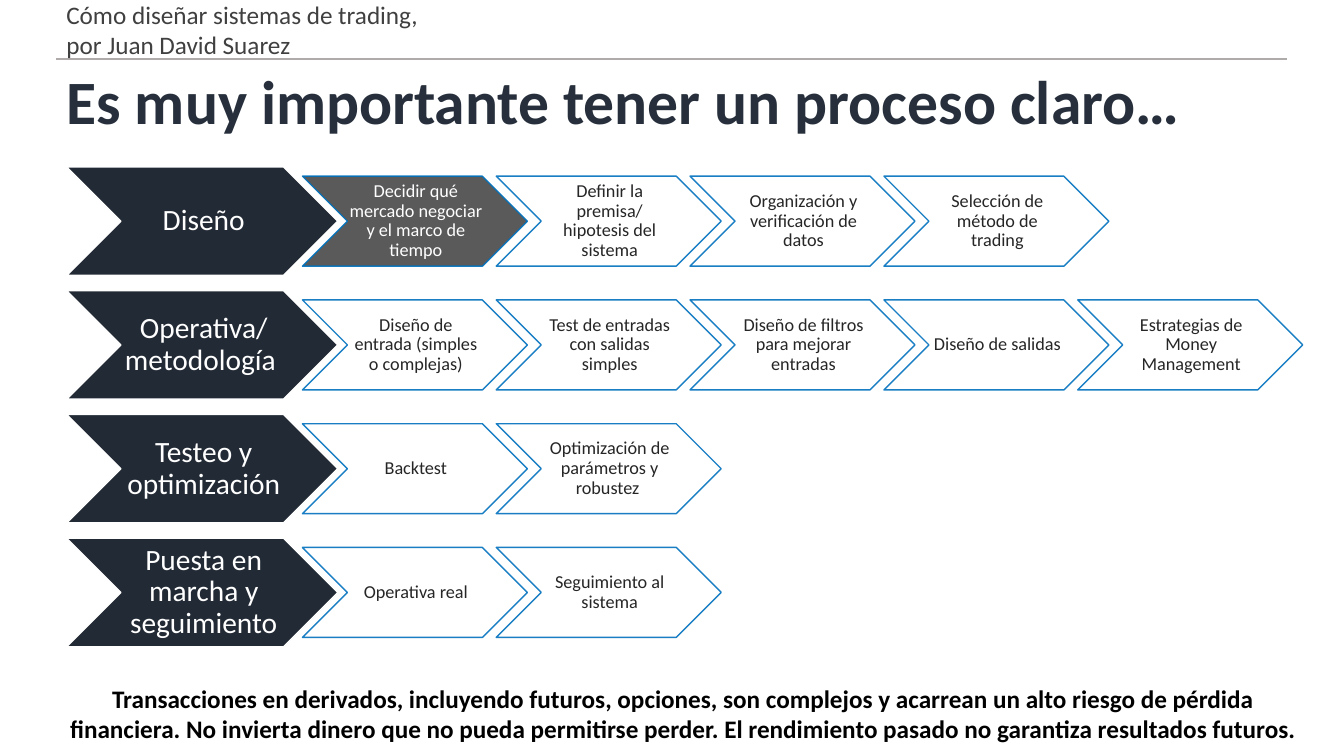
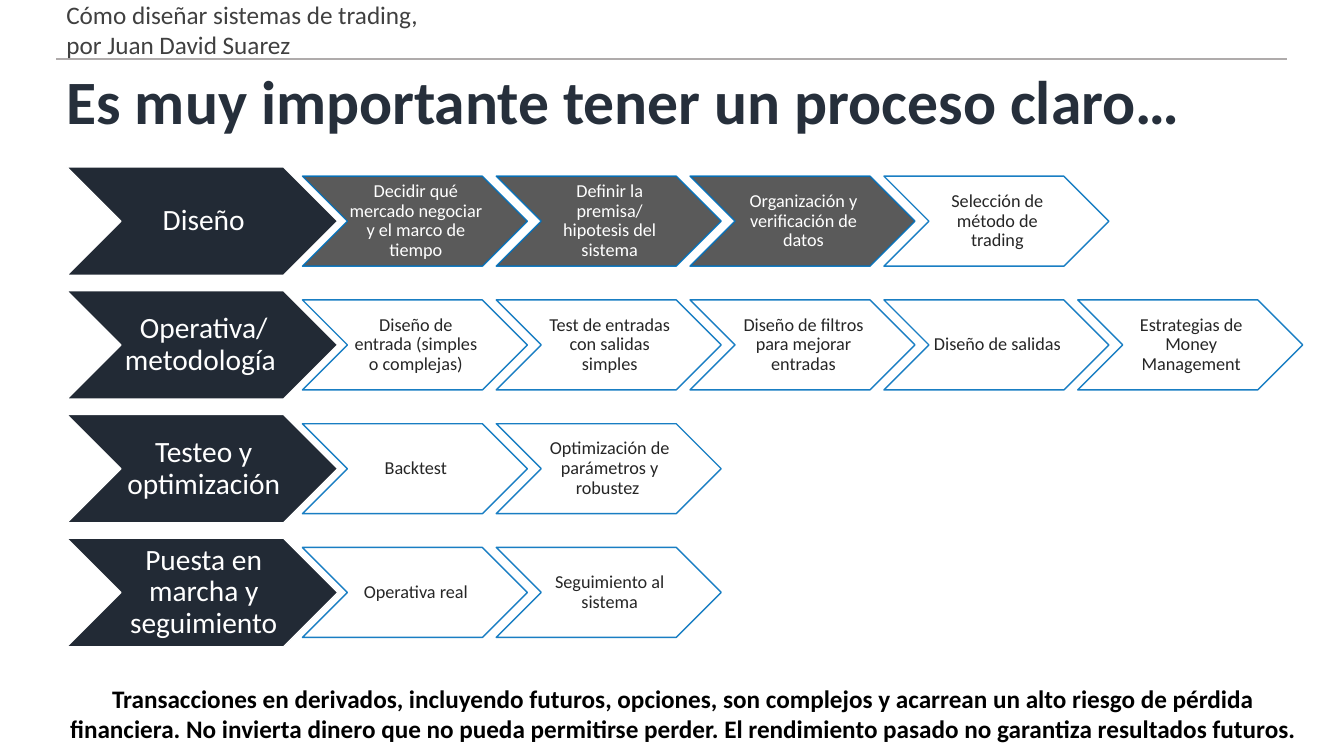
from dataclasses import dataclass
from typing import Any

import lxml.etree
import pptx
import pptx.dml.color
import pptx.enum.shapes
import pptx.enum.text
import pptx.oxml
import pptx.oxml.ns
import pptx.util

Pt = pptx.util.Pt
ALIGN = pptx.enum.text.PP_ALIGN
MIDDLE = pptx.enum.text.MSO_ANCHOR.MIDDLE

# Shared palette and text formats
NAVY, GREY, BLUE, WHITE = "222A35", "5A5A5A", "0071BD", "FFFFFF"
TITLE_FORMAT = {"name": "Calibri", "size": Pt(44), "bold": True}
HEADER_FORMAT = {"name": "Calibri", "size": Pt(18), "bold": False}
DISCLAIMER_FORMAT = {"name": "Calibri", "size": Pt(18), "bold": True}
PHASE_FORMAT = {"name": "Calibri", "size": Pt(21), "bold": False}
STEP_FORMAT = {"name": "Calibri", "size": Pt(13), "bold": False}

TITLE = "Es muy importante tener un proceso claro…"
HEADER = "Cómo diseñar sistemas de trading, por Juan David Suarez"
DISCLAIMER = (
    "Transacciones en derivados, incluyendo futuros, opciones, son complejos y "
    "acarrean un alto riesgo de pérdida financiera. No invierta dinero que no pueda "
    "permitirse perder. El rendimiento pasado no garantiza resultados futuros."
)

# Process grid, in points
MARGIN = 40.3
FIRST_ROW_CENTRE, ROW_PITCH = 158.0, 88.4
STEP_LEFT, STEP_PITCH = 216.0, 138.45


@dataclass(frozen=True)
class Phase:
    name: str
    steps: tuple[str, ...]


@dataclass(frozen=True)
class ChevronStyle:
    width: float
    height: float
    fill: str | None
    line: str
    line_alpha: int
    text_color: str
    text_format: dict[str, Any]
    left_inset: float


PHASE_STYLE = ChevronStyle(193.7, 77.5, NAVY, WHITE, 100, WHITE, PHASE_FORMAT, 2.1)
PENDING_STYLE = ChevronStyle(160.7, 64.3, None, BLUE, 90, "262626", STEP_FORMAT, 1.3)
COVERED_STYLE = ChevronStyle(160.7, 64.3, GREY, BLUE, 90, WHITE, STEP_FORMAT, 1.3)

PHASES = (
    Phase("Diseño", (
        "Decidir qué mercado negociar y el marco de tiempo",
        "Definir la premisa/ hipotesis del sistema",
        "Organización y verificación de datos",
        "Selección de método de trading",
    )),
    Phase("Operativa/ metodología ", (
        "Diseño de entrada (simples o complejas)",
        "Test de entradas con salidas simples",
        "Diseño de filtros para mejorar entradas",
        "Diseño de salidas",
        "Estrategias de Money Management",
    )),
    Phase("Testeo y optimización", (
        "Backtest",
        "Optimización de parámetros y robustez ",
    )),
    Phase("Puesta en marcha y seguimiento", (
        "Operativa real",
        "Seguimiento al sistema",
    )),
)

# Design steps already covered on each slide
COVERED_STEPS = (1, 3)


def rgb(code: str) -> pptx.dml.color.RGBColor:
    return pptx.dml.color.RGBColor.from_string(code)


def write(shape: Any, text: str, text_format: dict[str, Any], color: str,
          align: Any, line_spacing: float = 1.0) -> None:
    """Fill a shape with one formatted, vertically centred paragraph."""
    frame = shape.text_frame
    frame.word_wrap = True
    frame.auto_size = pptx.enum.text.MSO_AUTO_SIZE.NONE
    frame.vertical_anchor = MIDDLE
    frame.text = text
    paragraph = frame.paragraphs[0]
    paragraph.alignment = align
    paragraph.line_spacing = line_spacing
    font = paragraph.runs[0].font
    for attribute, value in text_format.items():
        setattr(font, attribute, value)
    font.color.rgb = rgb(color)


def add_chevron(slide: Any, left: float, centre: float, text: str,
                style: ChevronStyle) -> None:
    chevron = slide.shapes.add_shape(
        pptx.enum.shapes.MSO_SHAPE.CHEVRON, Pt(left), Pt(centre - style.height / 2),
        Pt(style.width), Pt(style.height))
    chevron.shadow.inherit = False
    if style.fill:
        chevron.fill.solid()
        chevron.fill.fore_color.rgb = rgb(style.fill)
    else:
        chevron.fill.background()
    chevron.line.width = Pt(1)
    chevron.line.color.rgb = rgb(style.line)
    if style.line_alpha < 100:
        line_color = chevron.element.spPr.find(
            "/".join(map(pptx.oxml.ns.qn, ("a:ln", "a:solidFill", "a:srgbClr"))))
        lxml.etree.SubElement(line_color, pptx.oxml.ns.qn("a:alpha"),
                              val=str(style.line_alpha * 1000))
    insets = {"margin_left": style.left_inset, "margin_right": 0,
              "margin_top": 0.7, "margin_bottom": 0.7}
    for attribute, value in insets.items():
        setattr(chevron.text_frame, attribute, Pt(value))
    write(chevron, text, style.text_format, style.text_color, ALIGN.CENTER, 0.9)


def build_layout(layout: Any, slide: Any) -> None:
    """Give the layout its title area, header, rule and disclaimer."""
    for placeholder in list(layout.placeholders):
        if placeholder.placeholder_format.idx != 0:
            placeholder.element.getparent().remove(placeholder.element)
    title_area = {"left": MARGIN, "top": 46, "width": 878.4, "height": 57}
    for attribute, value in title_area.items():
        setattr(layout.placeholders[0], attribute, Pt(value))

    # Header rule
    rule = slide.shapes.add_connector(
        pptx.enum.shapes.MSO_CONNECTOR.STRAIGHT,
        Pt(MARGIN), Pt(42.3), Pt(919.4), Pt(42.3))
    rule.line.width = Pt(1.5)
    rule.line.color.rgb = rgb("AFABAB")
    lxml.etree.SubElement(rule.element.spPr, pptx.oxml.ns.qn("a:effectLst"))

    # Header and disclaimer
    header = slide.shapes.add_textbox(Pt(MARGIN), Pt(8.6), Pt(283), Pt(24.5))
    write(header, HEADER, HEADER_FORMAT, "404040", ALIGN.LEFT)
    disclaimer = slide.shapes.add_textbox(Pt(MARGIN), Pt(486.7), Pt(895.7), Pt(45.4))
    write(disclaimer, DISCLAIMER, DISCLAIMER_FORMAT, "000000", ALIGN.CENTER)

    # Layout parts are drawn through a slide, then handed to the layout
    for part in (rule, header, disclaimer):
        layout.shapes.element.append(part.element)


def add_process(slide: Any, covered: int) -> None:
    write(slide.shapes.title, TITLE, TITLE_FORMAT, "262F3B", ALIGN.LEFT, 0.9)
    for row, phase in enumerate(PHASES):
        centre = FIRST_ROW_CENTRE + row * ROW_PITCH
        add_chevron(slide, 47.6, centre, phase.name, PHASE_STYLE)
        for column, step in enumerate(phase.steps):
            is_covered = row == 0 and column < covered
            add_chevron(slide, STEP_LEFT + column * STEP_PITCH, centre, step,
                        COVERED_STYLE if is_covered else PENDING_STYLE)


def main() -> None:
    deck = pptx.Presentation()
    deck.slide_width, deck.slide_height = Pt(960), Pt(540)
    layout = deck.slide_layouts[5]
    slides = [deck.slides.add_slide(layout) for _ in COVERED_STEPS]
    build_layout(layout, slides[0])
    for slide, covered in zip(slides, COVERED_STEPS):
        add_process(slide, covered)
    deck.save("out.pptx")


if __name__ == "__main__":
    main()
